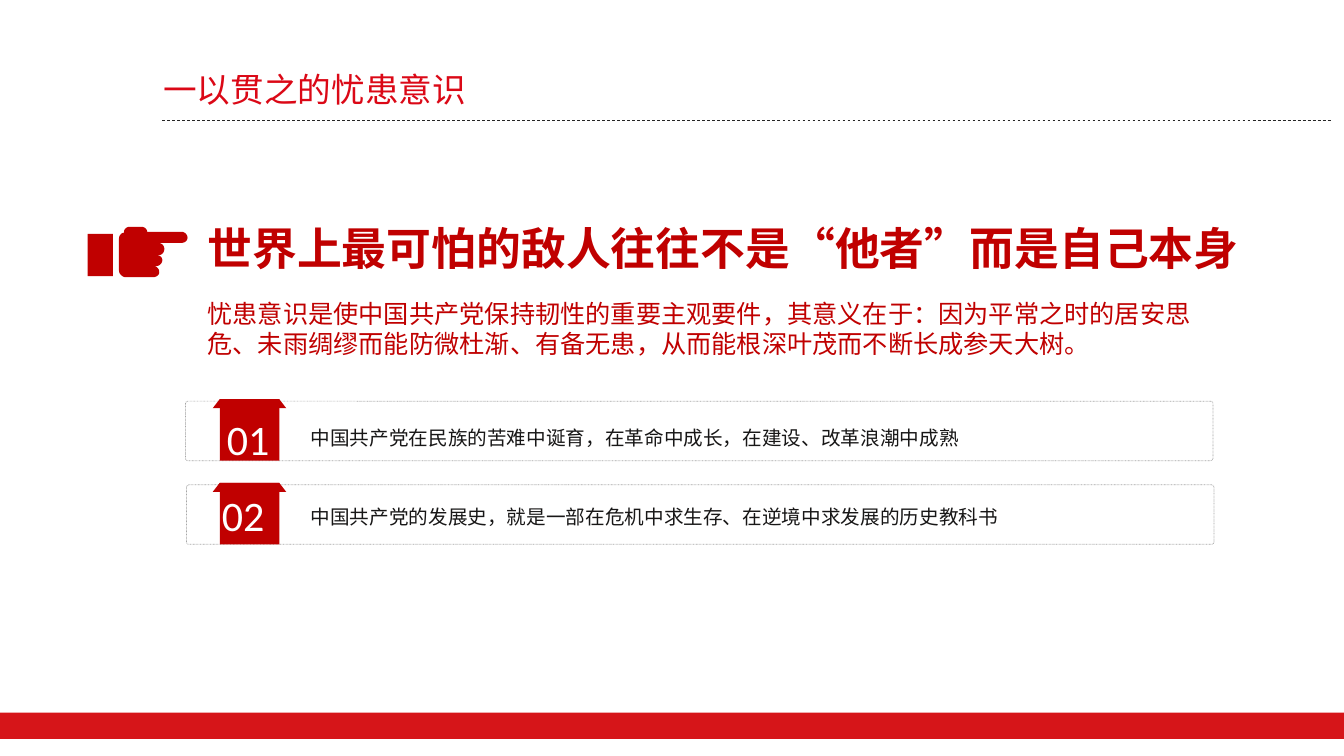
from dataclasses import dataclass
from math import cos, pi, sin

from lxml import etree
from pptx import Presentation
from pptx import util as u
from pptx.dml.color import RGBColor
from pptx.enum import dml, shapes, text
from pptx.oxml.ns import qn

Inches, Pt = u.Inches, u.Pt
FONT = "Calibri"
UNITS_PER_INCH = 1000  # freeform points are whole numbers
TITLE_RED = RGBColor(0xDB, 0x08, 0x16)
RULE_GREY = RGBColor(0x26, 0x26, 0x26)
BAND_RED = RGBColor(0xD6, 0x15, 0x19)
DEEP_RED = RGBColor(0xC0, 0x00, 0x00)
GREY = RGBColor(0xA6, 0xA6, 0xA6)
INK = RGBColor(0x18, 0x17, 0x17)
WHITE = RGBColor(0xFF, 0xFF, 0xFF)

Point = tuple[float, float]
Box = tuple[float, float, float, float]


@dataclass
class Item:
    number: str
    wording: str
    left: float
    top: float
    text_top: float
    number_at: Point


@dataclass
class Step:
    """One stretch of the hand outline; a corner makes it a quarter ellipse."""
    end: Point
    corner: Point | None = None


ITEMS = [
    Item("01", "中国共产党在民族的苦难中诞育，在革命中成长，在建设、改革浪潮中成熟",
         1.84, 3.96, 4.11, (2.18, 4.06)),
    Item("02", "中国共产党的发展史，就是一部在危机中求生存、在逆境中求发展的历史教科书",
         1.85, 4.79, 4.89, (2.13, 4.82)),
]

HAND_START = (1.58, 2.70)
HAND = [
    Step((1.52, 2.64), (1.58, 2.64)), Step((1.55, 2.64)),
    Step((1.61, 2.58), (1.61, 2.64)), Step((1.55, 2.53), (1.61, 2.53)),
    Step((1.58, 2.53)),
    Step((1.63, 2.47), (1.63, 2.53)), Step((1.57, 2.41), (1.63, 2.41)),
    Step((1.80, 2.41)),
    Step((1.86, 2.36), (1.86, 2.41)), Step((1.80, 2.30), (1.86, 2.30)),
    Step((1.46, 2.30)), Step((1.40, 2.25), (1.46, 2.25)),
    Step((1.29, 2.25)), Step((1.23, 2.30), (1.23, 2.25)),
    Step((1.23, 2.31)), Step((1.18, 2.37), (1.18, 2.31)),
    Step((1.18, 2.68)), Step((1.25, 2.75), (1.18, 2.75)),
    Step((1.52, 2.75)), Step((1.58, 2.70), (1.58, 2.75)),
]


def hand_points() -> list[Point]:
    points = [HAND_START]
    for step in HAND:
        start, end = points[-1], step.end
        if step.corner:
            center = [s + e - c for s, e, c in zip(start, end, step.corner)]
            for part in range(1, 8):
                angle = part * pi / 16
                x, y = (c + (s - c) * cos(angle) + (e - c) * sin(angle)
                        for s, e, c in zip(start, end, center))
                points.append((x, y))
        points.append(end)
    return points


def paint(shape, color: RGBColor) -> None:
    shape.shadow.inherit = False
    shape.fill.solid()
    shape.fill.fore_color.rgb = color
    shape.line.fill.background()


def add_block(parent, box: Box, color: RGBColor) -> None:
    shape = parent.add_shape(shapes.MSO_SHAPE.RECTANGLE, *map(Inches, box))
    paint(shape, color)


def add_outline(parent, points: list[Point], color: RGBColor) -> None:
    start, *rest = [(round(x * UNITS_PER_INCH), round(y * UNITS_PER_INCH))
                    for x, y in points]
    builder = parent.build_freeform(*start, scale=Inches(1) / UNITS_PER_INCH)
    builder.add_line_segments(rest, close=True)
    paint(builder.convert_to_shape(), color)


def write(shape, wording: str, size: float, color: RGBColor, wrap: bool = True,
          bold: bool = False, spacing: u.Length | None = None,
          insets: Point = (0.1, 0.05)) -> None:
    frame = shape.text_frame
    frame.text = wording
    frame.word_wrap = wrap
    frame.auto_size = text.MSO_AUTO_SIZE.SHAPE_TO_FIT_TEXT
    frame.vertical_anchor = text.MSO_ANCHOR.TOP
    frame.margin_left = frame.margin_right = Inches(insets[0])
    frame.margin_top = frame.margin_bottom = Inches(insets[1])
    paragraph = frame.paragraphs[0]
    paragraph.alignment = text.PP_ALIGN.LEFT
    if spacing is not None:
        paragraph.line_spacing = spacing
    font = paragraph.font
    font.name, font.size, font.bold = FONT, Pt(size), bold
    font.color.rgb = color


def add_text(parent, box: Box, *args, **options) -> None:
    write(parent.add_textbox(*map(Inches, box)), *args, **options)


def add_item(slide, item: Item) -> None:
    parent = slide.shapes.add_group_shape().shapes
    frame = parent.add_shape(
        shapes.MSO_SHAPE.ROUNDED_RECTANGLE,
        *map(Inches, (item.left, item.top + 0.02, 10.19, 0.59)))
    frame.adjustments[0] = 0.04
    frame.shadow.inherit = False
    frame.fill.background()
    frame.line.color.rgb = GREY
    frame.line.width = Pt(0.5)
    frame.line.dash_style = dml.MSO_LINE.ROUND_DOT

    add_text(parent, (2.96, item.text_top, 9.15, 0.39), item.wording, 14, INK,
             spacing=Pt(21), insets=(0.12, 0.06))

    # Ribbon with its folded top
    top, fold = item.top, item.top + 0.09
    add_outline(parent, [(2.18, top), (2.77, top), (2.84, fold), (2.11, fold)],
                DEEP_RED)
    add_block(parent, (2.18, top, 0.59, 0.61), DEEP_RED)
    add_text(parent, (*item.number_at, 0.58, 0.58), item.number, 30, WHITE,
             wrap=False, insets=(0.07, 0.04))


def main() -> None:
    presentation = Presentation()
    presentation.slide_width = Inches(13.33)
    presentation.slide_height = Inches(7.5)
    slide = presentation.slides.add_slide(presentation.slide_layouts[5])

    # Title, rule below it and bottom band
    add_block(slide.shapes, (0, 7.07, 13.33, 0.26), BAND_RED)
    rule = slide.shapes.add_connector(
        shapes.MSO_CONNECTOR.STRAIGHT,
        *map(Inches, (1.61, 1.19, 13.21, 1.19)))
    rule.line.color.rgb = RULE_GREY
    rule.line.width = Pt(0.5)
    rule.line.dash_style = dml.MSO_LINE.DASH
    etree.SubElement(rule.element.spPr, qn("a:effectLst"))

    title = slide.shapes.title
    title.left, title.top, title.width, title.height = map(
        Inches, (1.52, 0.63, 3.23, 0.5))
    write(title, "一以贯之的忧患意识", 24, TITLE_RED, wrap=False)

    # Pointing hand
    hand = slide.shapes.add_group_shape().shapes
    add_outline(hand, hand_points(), DEEP_RED)
    add_block(hand, (0.87, 2.32, 0.25, 0.42), DEEP_RED)

    # Statement and explanation
    add_text(slide.shapes, (1.96, 2.14, 10.85, 0.64),
             "世界上最可怕的敌人往往不是“他者”而是自己本身", 32, DEEP_RED, bold=True)
    add_text(slide.shapes, (1.96, 2.91, 10.15, 0.71),
             "忧患意识是使中国共产党保持韧性的重要主观要件，其意义在于：因为平常之时的居安思危、"
             "未雨绸缪而能防微杜渐、有备无患，从而能根深叶茂而不断长成参天大树。", 18, DEEP_RED)

    # Numbered items
    for item in ITEMS:
        add_item(slide, item)

    presentation.save("out.pptx")


if __name__ == "__main__":
    main()
